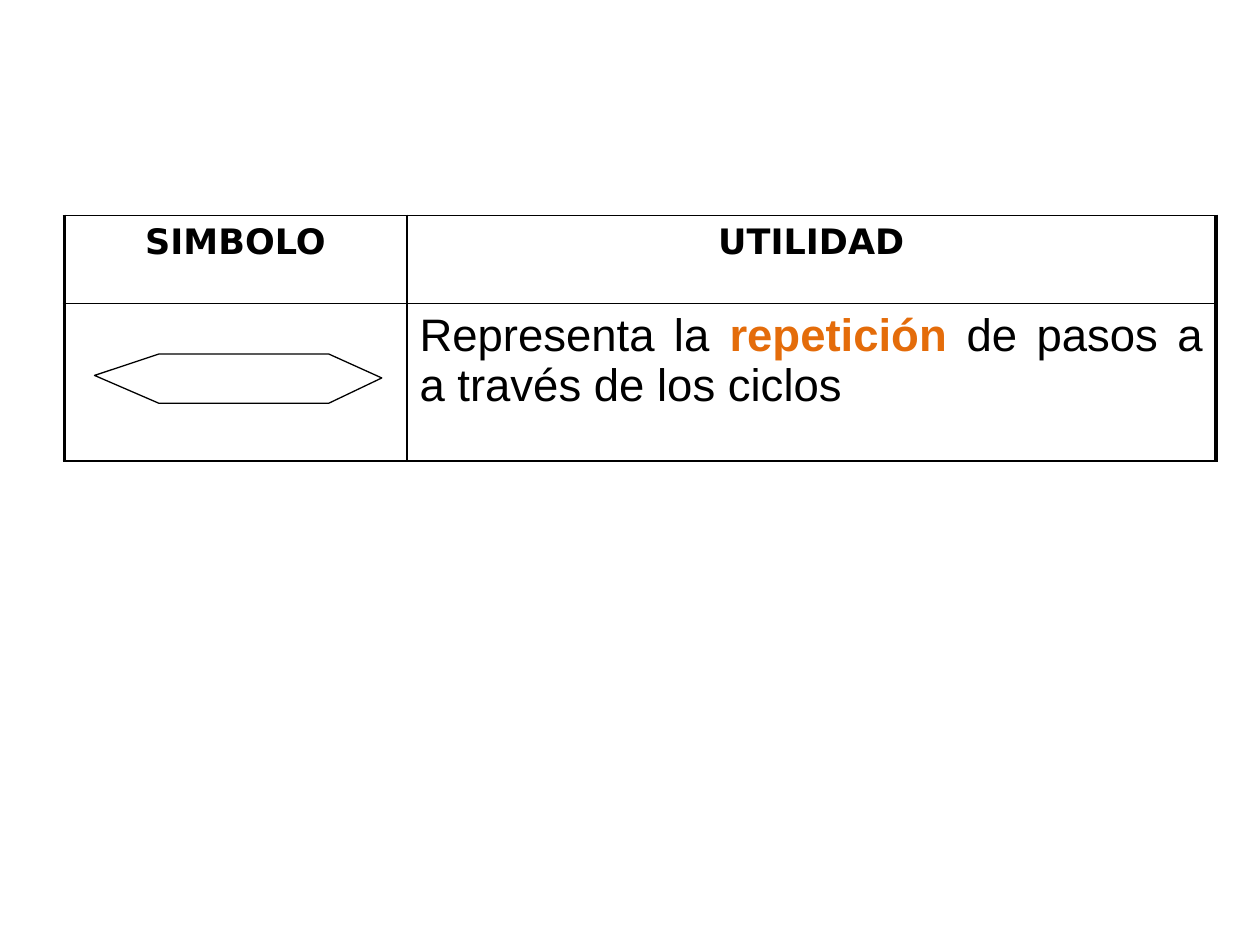
from pptx import Presentation
from pptx.dml.color import RGBColor
from pptx.enum.text import PP_ALIGN
from pptx.oxml import parse_xml
from pptx.oxml.ns import nsdecls
from pptx.util import Inches, Pt

BLACK, WHITE, ORANGE = "000000", "FFFFFF", "E46C0A"
HEADERS = ["SIMBOLO", "UTILIDAD"]
# Each run: text, colour, bold
USE = [
    ("Representa la ", BLACK, False),
    ("repetición", ORANGE, True),
    (" de pasos a a través de los ciclos", BLACK, False),
]
COLS = [2.72, 6.42]
ROWS = [0.7, 1.25]
LEFT, TOP = 0.51, 1.71
HEXAGON = [(1.26, 2.81), (2.61, 2.81), (3.03, 3), (2.61, 3.2), (1.26, 3.2), (0.75, 2.98)]
THIN, THICK = 1, 2.25


def rgb(value):
    return RGBColor.from_string(value)


def style_cell(cell, widths):
    """White fill and black borders, widths given as left, right, top, bottom."""
    tcPr = cell._tc.get_or_add_tcPr()
    for side, width in zip("LRTB", widths):
        tcPr.append(parse_xml(
            f'<a:ln{side} {nsdecls("a")} w="{Pt(width)}"><a:solidFill>'
            f'<a:srgbClr val="{BLACK}"/></a:solidFill></a:ln{side}>'))
    cell.fill.solid()
    cell.fill.fore_color.rgb = rgb(WHITE)


def write(cell, runs, font, size, align):
    p = cell.text_frame.paragraphs[0]
    p.alignment = align
    p.font.name, p.font.size = font, Pt(size)
    for text, color, bold in runs:
        r = p.add_run()
        r.text = text
        r.font.color.rgb = rgb(color)
        r.font.bold = bold


prs = Presentation()
prs.slide_width, prs.slide_height = Inches(10), Inches(7.5)
s = prs.slides.add_slide(prs.slide_layouts[6])

# Table of symbols and their use
table = s.shapes.add_table(len(ROWS), len(COLS), Inches(LEFT), Inches(TOP),
                           Inches(sum(COLS)), Inches(sum(ROWS))).table
for col, width in zip(table.columns, COLS):
    col.width = Inches(width)
for row, height in zip(table.rows, ROWS):
    row.height = Inches(height)
    for i, cell in enumerate(row.cells):
        left = THICK if i == 0 else THIN
        right = THICK if i == len(COLS) - 1 else THIN
        style_cell(cell, (left, right, THIN, THIN))

for cell, title in zip(table.rows[0].cells, HEADERS):
    write(cell, [(title, BLACK, True)], "DejaVu Sans", 20, PP_ALIGN.CENTER)
write(table.cell(1, 1), USE, "Arial", 26, PP_ALIGN.JUSTIFY)

# Loop symbol
points = [(Inches(x), Inches(y)) for x, y in HEXAGON]
builder = s.shapes.build_freeform(*points[0])
builder.add_line_segments(points[1:], close=True)
sp = builder.convert_to_shape()
sp.shadow.inherit = False
sp.fill.solid()
sp.fill.fore_color.rgb = rgb(WHITE)
sp.line.color.rgb = rgb(BLACK)
sp.line.width = Pt(0.75)

prs.save("out.pptx")
